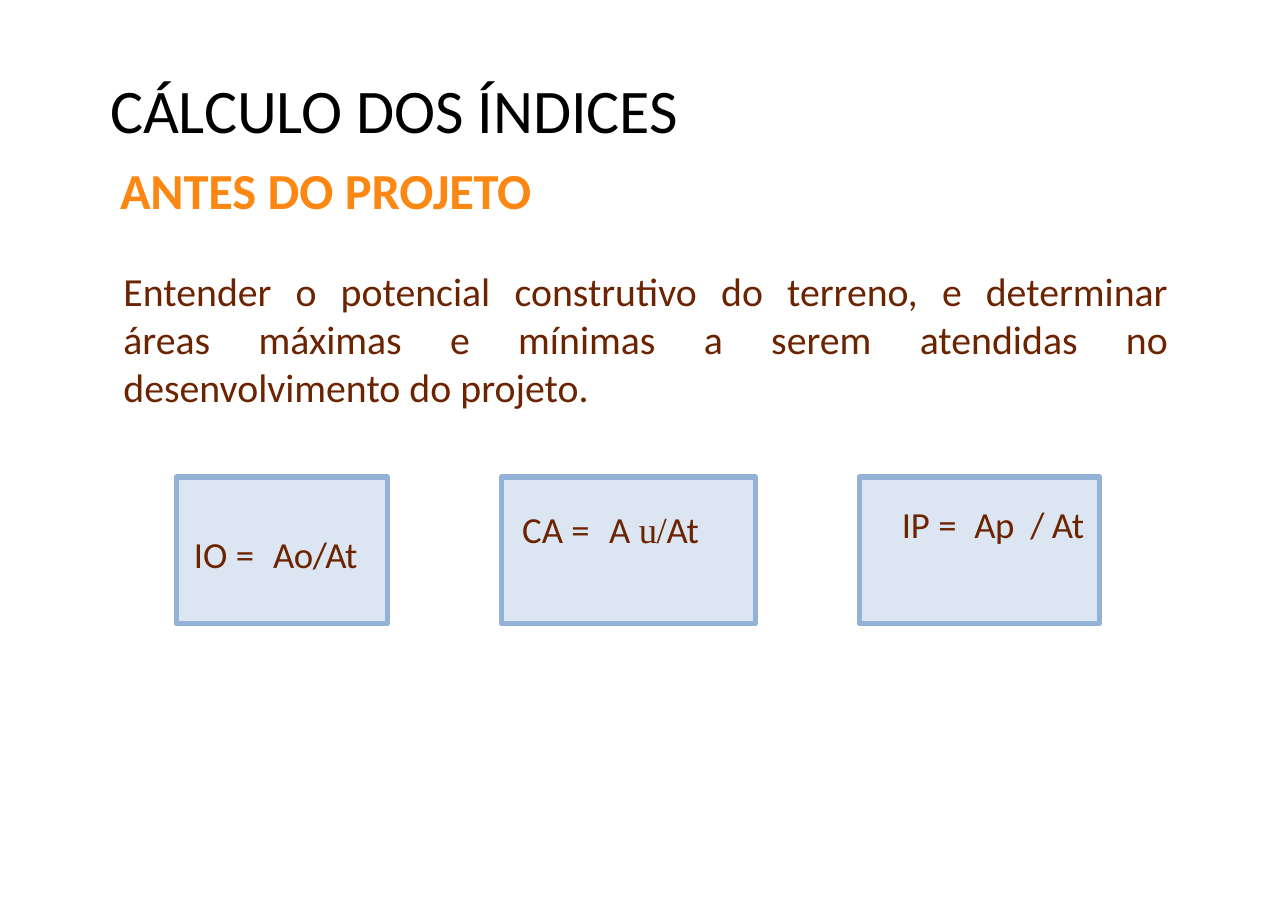
from dataclasses import dataclass

from lxml import etree
from pptx import Presentation
from pptx.dml.color import RGBColor
from pptx.enum.shapes import MSO_SHAPE
from pptx.enum.text import PP_ALIGN
from pptx.oxml.ns import qn
from pptx.util import Inches, Pt

RECTANGLE = MSO_SHAPE.RECTANGLE
LEFT, RIGHT, JUSTIFY = PP_ALIGN.LEFT, PP_ALIGN.RIGHT, PP_ALIGN.JUSTIFY


@dataclass(frozen=True)
class Theme:
    """Fonts, sizes and colours of the slide."""
    font: str = "Calibri"
    serif: str = "Times New Roman"
    title_size: float = 40.5
    subtitle_size: float = 33
    body_size: float = 26
    formula_size: float = 24
    border_width: float = 3.4
    title: RGBColor = RGBColor(0x00, 0x00, 0x00)
    subtitle: RGBColor = RGBColor(0xFC, 0x88, 0x13)
    body: RGBColor = RGBColor(0x6B, 0x23, 0x00)
    card: RGBColor = RGBColor(0xDC, 0xE6, 0xF2)
    border: RGBColor = RGBColor(0x94, 0xB2, 0xD7)


THEME = Theme()


def add_text_frame(page, left, top, width, height, inset):
    """Add a wrapping text box with only a top inset and return its frame."""
    box = page.shapes.add_textbox(Inches(left), Inches(top), Inches(width), Inches(height))
    frame = box.text_frame
    frame.word_wrap = True
    frame.margin_left = frame.margin_right = frame.margin_bottom = 0
    frame.margin_top = Inches(inset)
    return frame


def indent(para, margin):
    """Set the left margin of a paragraph in inches."""
    para._p.get_or_add_pPr().set("marL", str(Inches(margin)))


def add_tab(para, position):
    """Add one left tab stop to a paragraph."""
    tabs = etree.SubElement(para._p.get_or_add_pPr(), qn("a:tabLst"))
    etree.SubElement(tabs, qn("a:tab"), pos=str(Inches(position)), algn="l")


def add_run(para, text, size, color, spacing=0, font=THEME.font, bold=False):
    """Append a formatted run with character spacing in points."""
    run = para.add_run()
    run.text = text
    run.font.name = font
    run.font.size = Pt(size)
    run.font.bold = bold
    run.font.color.rgb = color
    run._r.get_or_add_rPr().set("spc", str(round(spacing * 100)))


def add_title(page, left, top, width, height):
    """Write the slide title in its box."""
    para = add_text_frame(page, left, top, width, height, 0.02).paragraphs[0]
    indent(para, 0.01)
    for text, spacing in (("CÁLCULO ", -0.1), ("DOS ", 0), ("ÍNDICES", -0.1)):
        add_run(para, text, THEME.title_size, THEME.title, spacing)


def add_introduction(page, left, top, width, height):
    """Write the subtitle and the justified statement under it."""
    frame = add_text_frame(page, left, top, width, height, 0.01)
    para = frame.paragraphs[0]
    para.alignment = JUSTIFY
    indent(para, 0.01)
    for text, spacing in (("ANTES ", -0.1), ("DO ", 0), ("PROJETO", -0.1)):
        add_run(para, text, THEME.subtitle_size, THEME.subtitle, spacing, bold=True)

    para = frame.add_paragraph()
    para.alignment = JUSTIFY
    para.line_spacing = 1.01
    para.space_before = Pt(30.8)
    indent(para, 0.04)
    phrases = (
        ("Entender o potencial construtivo do terreno, e determinar ", 8),
        ("áreas máximas e mínimas a serem atendidas no ", 15),
        ("desenvolvimento do projeto.", 0),
    )
    for phrase, gap in phrases:
        for before, space, after in [word.partition(" ") for word in phrase.split(" ")]:
            if para.runs and before:
                add_run(para, " ", THEME.body_size, THEME.body, gap)
            if before:
                add_run(para, before, THEME.body_size, THEME.body)


def add_formula_card(page, left, top, width, height, label, tab, align, parts):
    """Draw a bordered card and write its formula at an offset inside it."""
    card = page.shapes.add_shape(RECTANGLE, Inches(left), Inches(top), Inches(width), Inches(height))
    card.shadow.inherit = False
    card.fill.solid()
    card.fill.fore_color.rgb = THEME.card
    card.line.color.rgb = THEME.border
    card.line.width = Pt(THEME.border_width)

    offset_x, offset_y, label_width = label
    frame = add_text_frame(page, left + offset_x, top + offset_y, label_width, 0.51, 0.11)
    para = frame.paragraphs[0]
    para.alignment = align
    if align == LEFT:
        indent(para, 0.01)
    add_tab(para, tab)
    for text, spacing, font in parts:
        add_run(para, text, THEME.formula_size, THEME.body, spacing, font)


def main():
    """Build the slide and save the deck."""
    deck = Presentation()
    deck.slide_width, deck.slide_height = Inches(11.69), Inches(8.26)
    page = deck.slides.add_slide(deck.slide_layouts[6])
    add_title(page, 0.99, 0.63, 6.76, 1.4)
    add_introduction(page, 1.08, 1.43, 9.52, 2.3)

    sans, serif = THEME.font, THEME.serif
    equals = ("=\t", -0.5, sans)
    cards = (
        (1.6, 1.92, (0.15, 0.39, 1.72), 0.72, LEFT,
         (("IO ", 0, sans), equals, ("Ao/At", -0.3, sans))),
        (4.55, 2.31, (0.18, 0.16, 1.83), 0.79, LEFT,
         (("CA ", 0, sans), equals, ("A", 0, sans), (" u/", -0.5, serif), ("At", -0.3, sans))),
        (7.8, 2.18, (-0.02, 0.11, 2.06), 0.66, RIGHT,
         (("IP ", 0, sans), equals, ("Ap", -0.3, sans), (" ", 5, sans), ("/ At", -0.3, sans))),
    )
    for left, width, label, tab, align, parts in cards:
        add_formula_card(page, left, 4.33, width, 1.33, label, tab, align, parts)
    deck.save("out.pptx")


if __name__ == "__main__":
    main()
